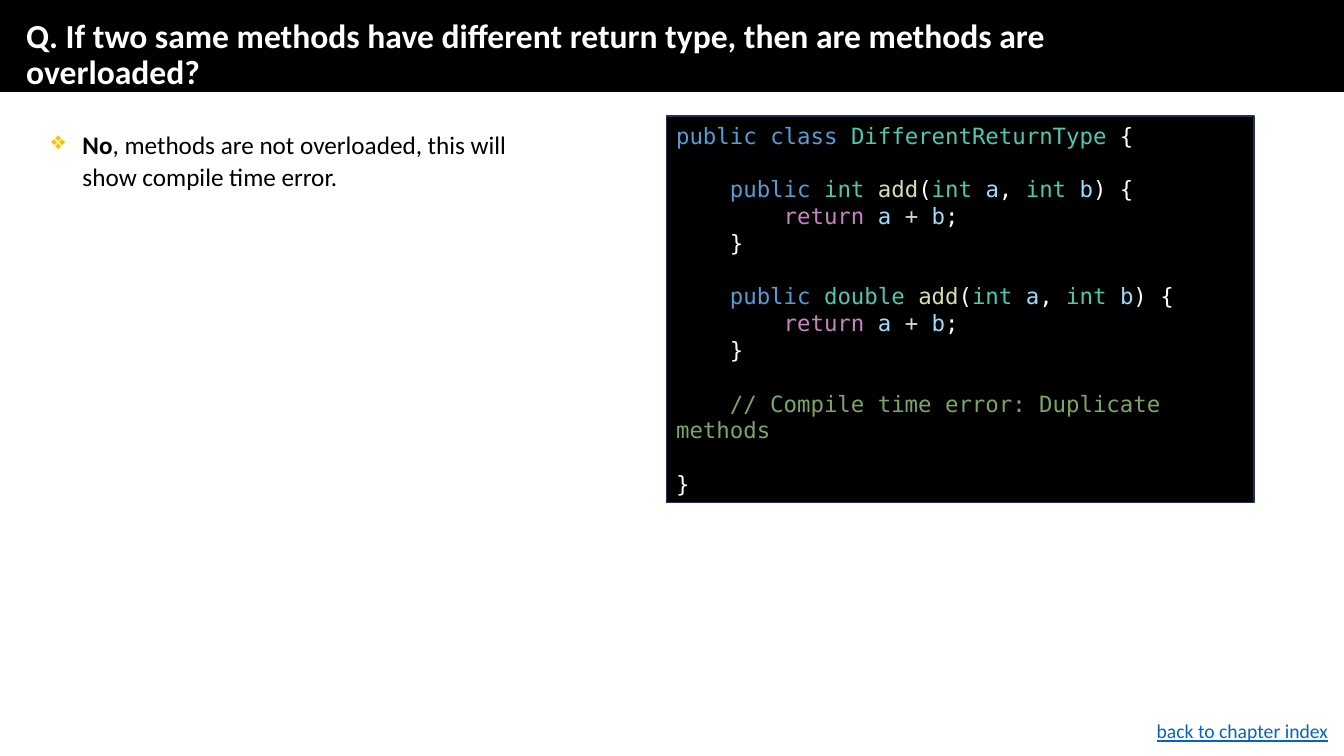
from lxml import etree
from pptx import Presentation
from pptx.dml.color import RGBColor
from pptx.enum import shapes, text
from pptx.oxml import ns
from pptx.util import Cm, Pt

BLACK = RGBColor(0, 0, 0)
WHITE = RGBColor(255, 255, 255)
NAVY = RGBColor(0x1E, 0x32, 0x56)
GOLD = RGBColor(0xFF, 0xC0, 0x00)
LINK = RGBColor(0x05, 0x63, 0xC1)
# Code colours
WORD = RGBColor(0x56, 0x9C, 0xD6)
TYPE = RGBColor(0x4E, 0xC9, 0xB0)
NAME = RGBColor(0xDC, 0xDC, 0xAA)
VALUE = RGBColor(0x9C, 0xDC, 0xFE)
FLOW = RGBColor(0xC5, 0x86, 0xC0)
SIGN = RGBColor(0xD4, 0xD4, 0xD4)
NOTE = RGBColor(0x7C, 0xA6, 0x68)

SANS, MONO = "Calibri", "DejaVu Sans Mono"
TAB = "    "


def add_run(para, words, size, color=BLACK, face=SANS, bold=False, under=False):
    run = para.add_run()
    run.text = words
    font = run.font
    font.name, font.size, font.bold, font.underline = face, Pt(size), bold, under
    font.color.rgb = color


def add_box(slide, box):
    frame = slide.shapes.add_textbox(*box).text_frame
    frame.word_wrap = True
    return frame


def add_panel(slide, box, edge):
    panel = slide.shapes.add_shape(shapes.MSO_SHAPE.RECTANGLE, *box)
    panel.shadow.inherit = False
    panel.fill.solid()
    panel.fill.fore_color.rgb = BLACK
    panel.line.color.rgb = edge
    panel.line.width = Pt(1)
    return panel


def add_bullet(para, mark, color, indent):
    props = para._p.get_or_add_pPr()
    props.set("marL", str(indent))
    props.set("indent", str(-indent))
    tint = etree.SubElement(props, ns.qn("a:buClr"))
    etree.SubElement(tint, ns.qn("a:srgbClr")).set("val", str(color))
    etree.SubElement(props, ns.qn("a:buChar")).set("char", mark)
    tabs = etree.SubElement(props, ns.qn("a:tabLst"))
    stop = etree.SubElement(tabs, ns.qn("a:tab"))
    stop.set("pos", str(Cm(1.27)))
    stop.set("algn", "l")


def draw_head(slide, box):
    # Black band with the question
    left, top, width, height = box
    add_panel(slide, box, BLACK)
    frame = add_box(slide, (left + Cm(0.41), top + Cm(0.89),
                            width - Cm(4.37), Cm(1.04)))
    frame.vertical_anchor = text.MSO_ANCHOR.MIDDLE
    para = frame.paragraphs[0]
    para.line_spacing = 0.9
    add_run(para, "Q. If two same methods have different return type, "
            "then are methods are overloaded?", 24, WHITE, bold=True)


def draw_answer(slide, box):
    para = add_box(slide, box).paragraphs[0]
    add_bullet(para, "❖", GOLD, Cm(0.79))
    para.line_spacing = 1.07
    para.space_after = Pt(6)
    add_run(para, "No", 18, bold=True)
    add_run(para, ", methods are not overloaded, "
            "this will show compile time error.", 18)


def list_method(kind):
    # Each line: whether a gap precedes it, then its coloured pieces
    return [
        (True, [(TAB, WHITE), ("public", WORD), (" ", WHITE), (kind, TYPE),
                (" ", WHITE), ("add", NAME), ("(", WHITE), ("int", TYPE),
                (" ", WHITE), ("a", VALUE), (", ", WHITE), ("int", TYPE),
                (" ", WHITE), ("b", VALUE), (") {", WHITE)]),
        (False, [(TAB * 2, WHITE), ("return", FLOW), (" ", WHITE),
                 ("a", VALUE), (" ", WHITE), ("+", SIGN), (" ", WHITE),
                 ("b", VALUE), (";", WHITE)]),
        (False, [(TAB + "}", WHITE)]),
    ]


def draw_code(slide, box):
    frame = add_panel(slide, box, NAVY).text_frame
    frame.word_wrap = True
    frame.vertical_anchor = text.MSO_ANCHOR.MIDDLE
    lines = [
        (False, [("public", WORD), (" ", WHITE), ("class", WORD), (" ", WHITE),
                 ("DifferentReturnType", TYPE), (" {", WHITE)]),
        *list_method("int"),
        *list_method("double"),
        (True, [(TAB, WHITE),
                ("// Compile time error: Duplicate methods", NOTE)]),
        (True, [("}", WHITE)]),
    ]
    for row, (gap, parts) in enumerate(lines):
        para = frame.add_paragraph() if row else frame.paragraphs[0]
        para.alignment = text.PP_ALIGN.LEFT
        if gap:
            para.space_before = Pt(19)
        for words, color in parts:
            add_run(para, words, 16, color, MONO)


def draw_link(slide, box):
    para = add_box(slide, box).paragraphs[0]
    add_run(para, "back to chapter index", 14, LINK, under=True)


def main():
    deck = Presentation()
    deck.slide_width, deck.slide_height = Cm(33.87), Cm(19.05)
    slide = deck.slides.add_slide(deck.slide_layouts[6])
    draw_head(slide, (0, 0, deck.slide_width, Cm(2.31)))
    draw_answer(slide, (Cm(1.04), Cm(3.07), Cm(12.24), Cm(1.85)))
    draw_code(slide, (Cm(16.79), Cm(2.92), Cm(14.81), Cm(9.75)))
    draw_link(slide, (Cm(28.9), Cm(18), Cm(4.97), Cm(0.86)))
    deck.save("out.pptx")


if __name__ == "__main__":
    main()
